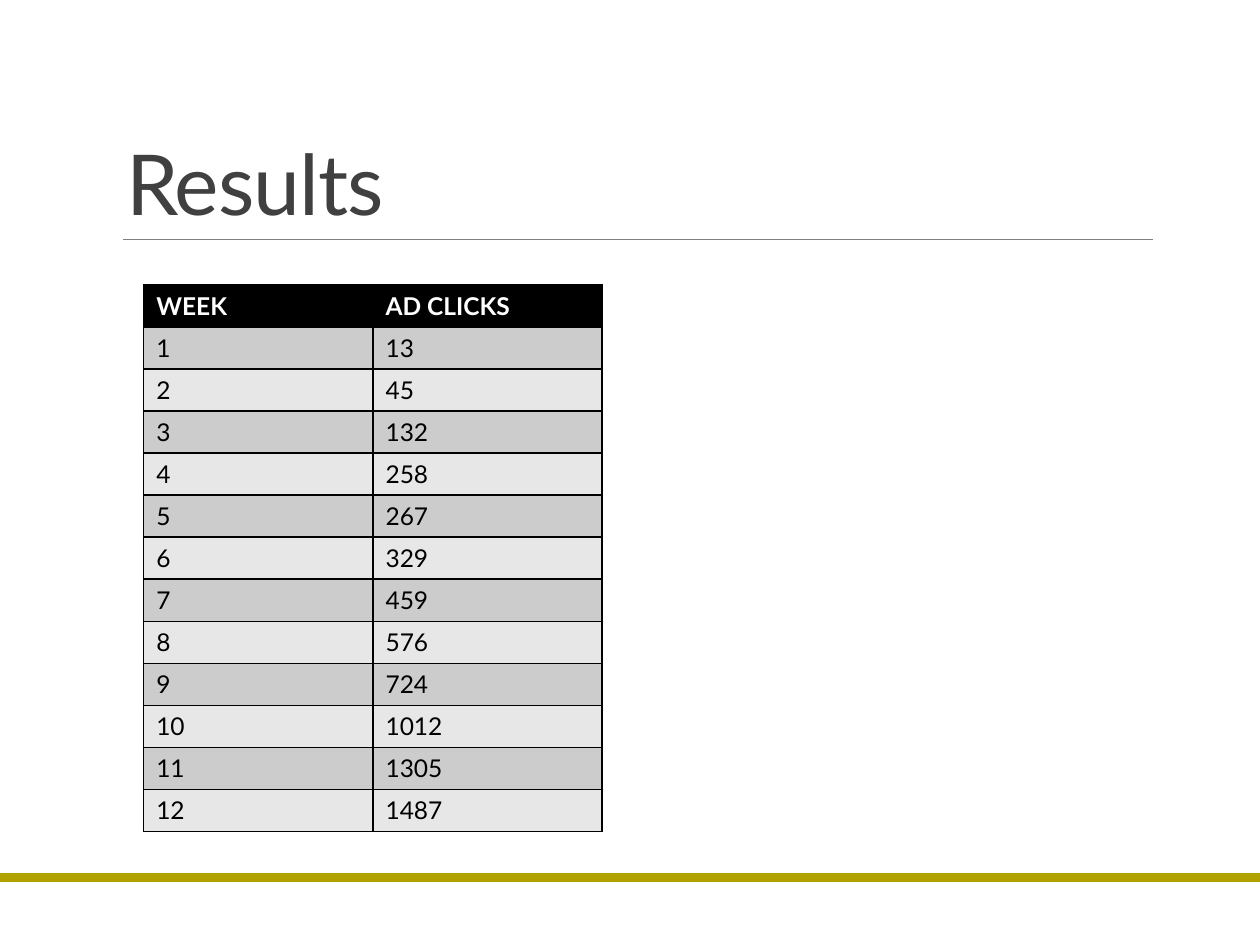
"""Build the Results slide: a titled table of weekly ad clicks."""
from dataclasses import dataclass

from lxml import etree
from pptx import Presentation
from pptx.dml.color import RGBColor
from pptx.enum.shapes import MSO_CONNECTOR, MSO_SHAPE
from pptx.enum.text import MSO_ANCHOR, MSO_AUTO_SIZE, PP_ALIGN
from pptx.oxml.ns import qn
from pptx.slide import Slide
from pptx.table import _Cell
from pptx.text.text import Font
from pptx.util import Inches, Pt

STRAIGHT = MSO_CONNECTOR.STRAIGHT
RECTANGLE = MSO_SHAPE.RECTANGLE
BOTTOM = MSO_ANCHOR.BOTTOM
LEFT = PP_ALIGN.LEFT
NO_AUTOFIT = MSO_AUTO_SIZE.NONE

WIDTH, HEIGHT = Inches(10), Inches(7.5)
TITLE_ONLY_LAYOUT = 5
TYPEFACE = "Lato"
COLORS = {
    "accent": "B2A200",
    "rule": "808080",
    "title": "404040",
    "black": "000000",
    "white": "FFFFFF",
    "odd": "CCCCCC",
    "even": "E7E7E7",
}
HEADERS = ("WEEK", "AD CLICKS")
AD_CLICKS = (13, 45, 132, 258, 267, 329, 459, 576, 724, 1012, 1305, 1487)
COLUMN_WIDTH, ROW_HEIGHT = Inches(1.82), Inches(0.33)


@dataclass(frozen=True)
class RowStyle:
    fill: str
    text: str
    bold: bool


HEADER_STYLE = RowStyle("black", "white", True)
BAND_STYLES = (RowStyle("even", "black", False), RowStyle("odd", "black", False))


def color(name: str) -> RGBColor:
    return RGBColor.from_string(COLORS[name])


def format_font(font: Font, size: float, color_name: str, bold: bool = False) -> None:
    font.name = TYPEFACE
    font.size = Pt(size)
    font.bold = bold
    font.color.rgb = color(color_name)


def add_footer_bar(slide: Slide) -> None:
    bar = slide.shapes.add_shape(RECTANGLE, 0, Inches(6.93), WIDTH, Inches(0.07))
    bar.shadow.inherit = False
    bar.fill.solid()
    bar.fill.fore_color.rgb = color("accent")
    bar.line.fill.background()


def add_title_rule(slide: Slide) -> None:
    top = Inches(1.9)
    rule = slide.shapes.add_connector(STRAIGHT, Inches(0.98), top, Inches(9.15), top)
    rule.line.color.rgb = color("rule")
    rule.line.width = Pt(0.5)
    etree.SubElement(rule._element.spPr, qn("a:effectLst"))


def format_title(slide: Slide, text: str) -> None:
    title = slide.shapes.title
    title.left, title.top = Inches(0.9), Inches(0.31)
    title.width, title.height = Inches(8.25), Inches(1.59)
    frame = title.text_frame
    frame.text = text
    frame.word_wrap = True
    frame.auto_size = NO_AUTOFIT
    frame.vertical_anchor = BOTTOM
    paragraph = frame.paragraphs[0]
    paragraph.alignment = LEFT
    paragraph.line_spacing = 0.85
    run = paragraph.runs[0]
    format_font(run.font, 48, "title")
    run._r.get_or_add_rPr().set("spc", "-50")


def add_borders(cell: _Cell) -> None:
    properties = cell._tc.get_or_add_tcPr()
    for side in ("lnL", "lnR", "lnT", "lnB"):
        border = etree.SubElement(properties, qn(f"a:{side}"), w=str(Pt(1)))
        fill = etree.SubElement(border, qn("a:solidFill"))
        etree.SubElement(fill, qn("a:srgbClr"), val=COLORS["black"])


def format_cell(cell: _Cell, text: str, style: RowStyle) -> None:
    cell.text_frame.text = text
    format_font(cell.text_frame.paragraphs[0].runs[0].font, 14, style.text, style.bold)
    add_borders(cell)
    cell.fill.solid()
    cell.fill.fore_color.rgb = color(style.fill)


def add_clicks_table(slide: Slide) -> None:
    rows = [HEADERS, *enumerate(AD_CLICKS, start=1)]
    table = slide.shapes.add_table(
        len(rows), len(HEADERS), Inches(1.14), Inches(2.26),
        COLUMN_WIDTH * len(HEADERS), ROW_HEIGHT * len(rows),
    ).table
    for column in table.columns:
        column.width = COLUMN_WIDTH
    for row_index, values in enumerate(rows):
        style = BAND_STYLES[row_index % 2] if row_index else HEADER_STYLE
        for column_index, value in enumerate(values):
            format_cell(table.cell(row_index, column_index), str(value), style)


def main() -> None:
    presentation = Presentation()
    presentation.slide_width, presentation.slide_height = WIDTH, HEIGHT
    slide = presentation.slides.add_slide(presentation.slide_layouts[TITLE_ONLY_LAYOUT])
    add_footer_bar(slide)
    add_title_rule(slide)
    format_title(slide, "Results")
    add_clicks_table(slide)
    presentation.save("out.pptx")


if __name__ == "__main__":
    main()
